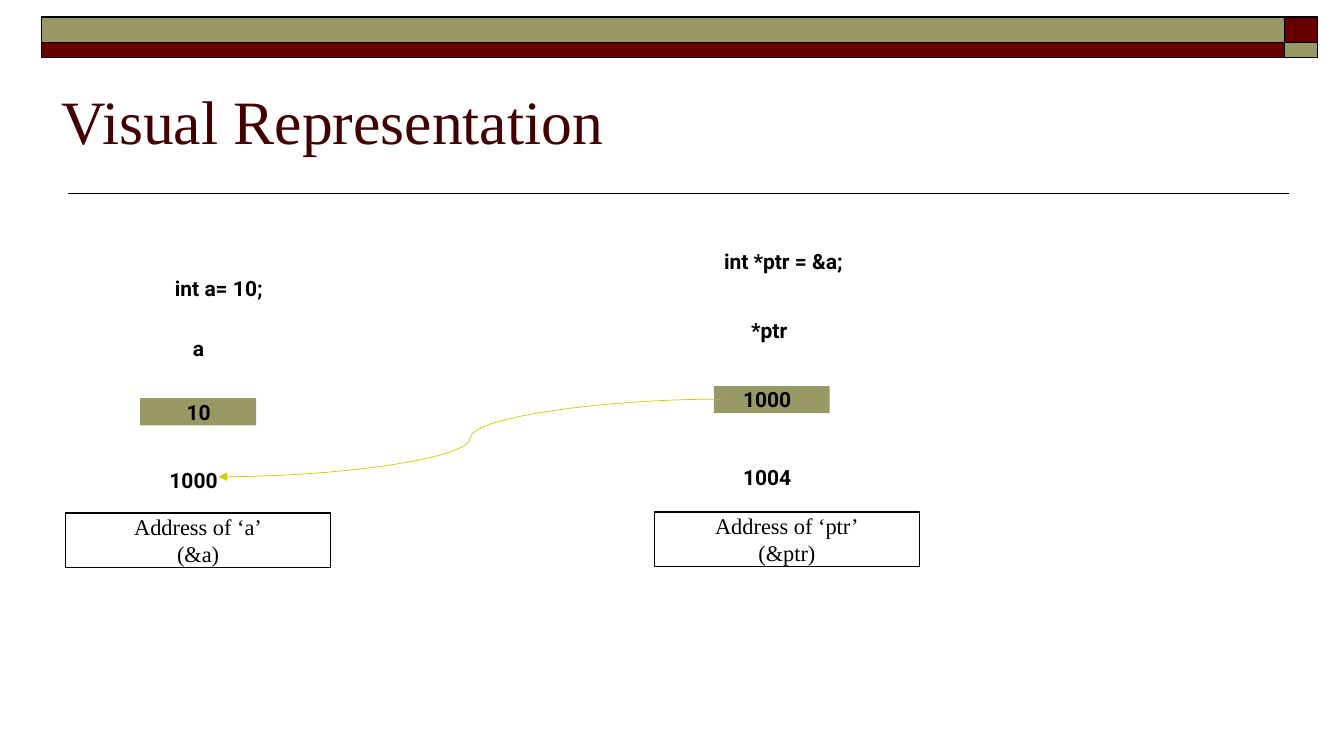
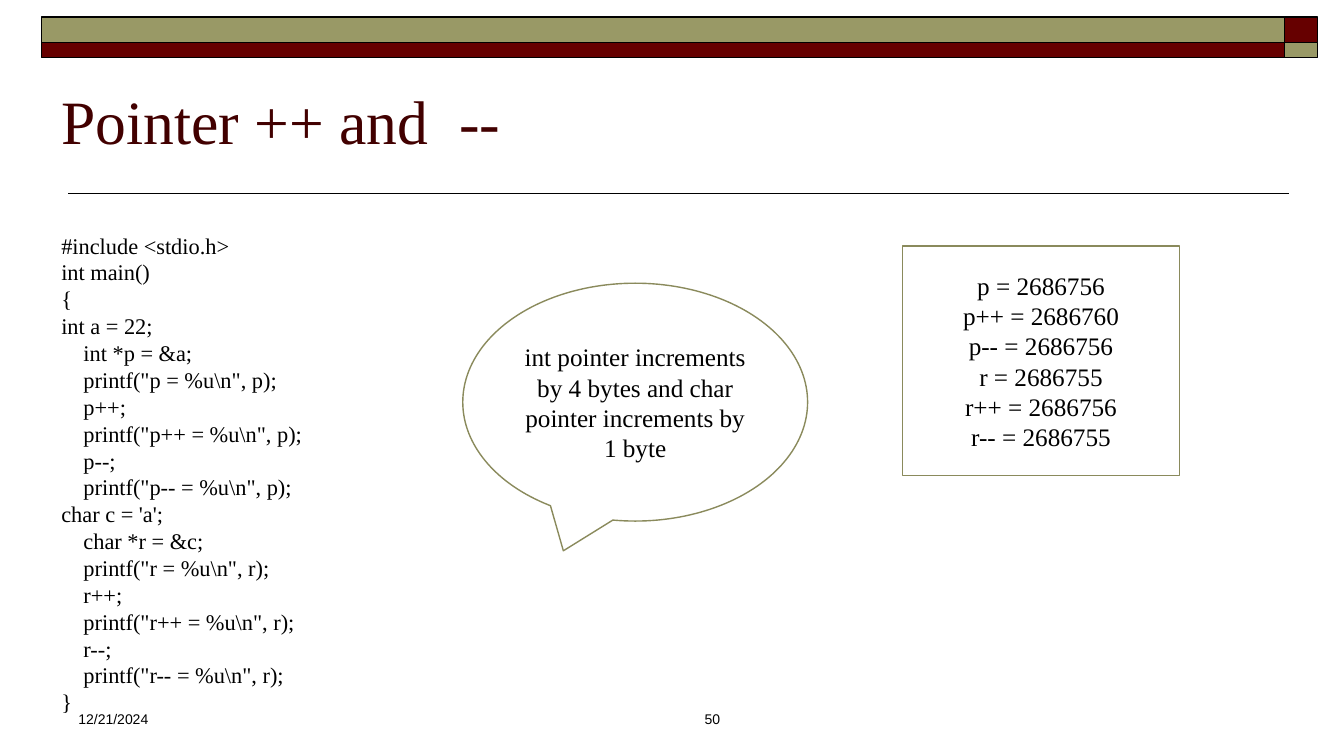
import pptx
import pptx.util
import pptx.dml.color
import pptx.enum.shapes
import pptx.enum.text
import pptx.oxml
from dataclasses import dataclass

Inches = pptx.util.Inches
Pt = pptx.util.Pt
ALIGN = pptx.enum.text.PP_ALIGN
ANCHOR = pptx.enum.text.MSO_ANCHOR
SHAPE = pptx.enum.shapes.MSO_SHAPE
CONNECTOR = pptx.enum.shapes.MSO_CONNECTOR


@dataclass(frozen=True)
class Style:
    font: str
    size: float
    color: str = "000000"
    bold: bool = False


class Theme:
    black, white = "000000", "FFFFFF"
    maroon, olive = "660000", "999966"
    outline, arrow = "8A8A5C", "CCCC00"
    title = Style("Times New Roman", 44, "420000")
    code = Style("Times New Roman", 16)
    note = Style("Times New Roman", 18)
    label = Style("Roboto", 15, bold=True)
    footer = Style("Arial", 10)


# Content: each label is (text, centre x, top)
VARIABLES = [
    {
        "labels": [("int a= 10;", 2.17, 2.7), ("a", 1.97, 3.3),
                   ("10", 1.97, 3.93), ("1000", 1.92, 4.61)],
        "cell": (1.39, 3.95),
        "address": (["Address of ‘a’", "(&a)"], 0.65, 5.09),
    },
    {
        "labels": [("int *ptr = &a;", 7.77, 2.44), ("*ptr", 7.63, 3.12),
                   ("1000", 7.61, 3.8), ("1004", 7.61, 4.58)],
        "cell": (7.08, 3.83),
        "address": (["Address of ‘ptr’", "(&ptr)"], 6.49, 5.08),
    },
]
POINTER_ARROW = (7.16, 3.96, 2.17, 4.73)

# Each code line is (indent level, text)
CODE = [
    (0, "#include <stdio.h>"),
    (0, "int main()"),
    (0, "{"),
    (0, "int a = 22;"),
    (1, "int *p = &a;"),
    (1, r'printf("p = %u\n", p);'),
    (1, "p++;"),
    (1, r'printf("p++ = %u\n", p);'),
    (1, "p--;"),
    (1, r'printf("p-- = %u\n", p);'),
    (0, "char c = 'a';"),
    (1, "char *r = &c;"),
    (1, r'printf("r = %u\n", r);'),
    (1, "r++;"),
    (1, r'printf("r++ = %u\n", r);'),
    (1, "r--;"),
    (1, r'printf("r-- = %u\n", r);'),
    (0, "}"),
]
OUTPUT = ["p = 2686756", "p++ = 2686760", "p-- = 2686756",
          "r = 2686755", "r++ = 2686756", "r-- = 2686755"]
REMARK = ["int pointer increments by 4 bytes and char pointer increments by 1 byte"]


# Helpers
def rgb(color):
    return pptx.dml.color.RGBColor.from_string(color)


def write(shape, lines, style, align=ALIGN.LEFT, anchor=ANCHOR.TOP,
          margins=(0.1, 0.05), indents=None):
    frame = shape.text_frame
    frame.word_wrap = True
    frame.vertical_anchor = anchor
    frame.margin_left = frame.margin_right = Inches(margins[0])
    frame.margin_top = frame.margin_bottom = Inches(margins[1])
    for index, line in enumerate(lines):
        paragraph = frame.add_paragraph() if index else frame.paragraphs[0]
        paragraph.text = line
        paragraph.alignment = align
        paragraph.font.name = style.font
        paragraph.font.size = Pt(style.size)
        paragraph.font.bold = style.bold
        paragraph.font.color.rgb = rgb(style.color)
        if indents and indents[index]:
            properties = paragraph._p.get_or_add_pPr()
            properties.set("marL", str(Inches(0.22 * indents[index])))


def add_text(slide, box, lines, style, **options):
    shape = slide.shapes.add_textbox(*map(Inches, box))
    write(shape, lines, style, **options)


def add_box(slide, box, fill, line=None, kind=SHAPE.RECTANGLE):
    shape = slide.shapes.add_shape(kind, *map(Inches, box))
    shape.shadow.inherit = False
    shape.fill.solid()
    shape.fill.fore_color.rgb = rgb(fill)
    if line:
        shape.line.color.rgb = rgb(line)
        shape.line.width = Pt(1)
    else:
        shape.line.fill.background()
    return shape


def add_line(slide, ends, color, width, kind=CONNECTOR.STRAIGHT):
    line = slide.shapes.add_connector(kind, *map(Inches, ends))
    line.line.color.rgb = rgb(color)
    line.line.width = Pt(width)
    pptx.oxml.xmlchemy.OxmlElement  # element factory used below
    line._element.spPr.append(pptx.oxml.xmlchemy.OxmlElement("a:effectLst"))
    return line


def add_arrow(slide, ends):
    arrow = add_line(slide, ends, Theme.arrow, 0.5, CONNECTOR.CURVE)
    head = pptx.oxml.xmlchemy.OxmlElement("a:tailEnd")
    head.set("type", "triangle")
    arrow.line._get_or_add_ln().append(head)


# Shared frame: rule, two-row band with a swapped end block, title
def add_slide(presentation, title):
    slide = presentation.slides.add_slide(presentation.slide_layouts[6])
    add_line(slide, (12.78, 1.92, 0.67, 1.92), Theme.black, 1)
    bands = [(0.17, 0.25, Theme.olive, Theme.maroon),
             (0.42, 0.15, Theme.maroon, Theme.olive)]
    for top, height, band, end in bands:
        add_box(slide, (12.74, top, 0.33, height), end, Theme.black)
        add_box(slide, (0.41, top, 12.33, height), band, Theme.black)
    add_text(slide, (0.51, 0.35, 12, 1.25), [title], Theme.title,
             anchor=ANCHOR.BOTTOM)
    return slide


def build_representation(presentation):
    slide = add_slide(presentation, "Visual Representation")
    width = 2.2
    for variable in VARIABLES:
        add_box(slide, (*variable["cell"], 1.15, 0.27), Theme.olive)
        for text, center, top in variable["labels"]:
            add_text(slide, (center - width / 2, top, width, 0.31), [text],
                     Theme.label, align=ALIGN.CENTER, anchor=ANCHOR.MIDDLE,
                     margins=(0.03, 0.03))
        lines, left, top = variable["address"]
        address = add_box(slide, (left, top, 2.63, 0.54), Theme.white, Theme.black)
        write(address, lines, Theme.code, ALIGN.CENTER, ANCHOR.MIDDLE, (0, 0))
    add_arrow(slide, POINTER_ARROW)


def build_increment(presentation):
    slide = add_slide(presentation, "Pointer ++ and  --")
    indents, lines = zip(*CODE)
    add_text(slide, (0.51, 2.25, 12, 4.57), lines, Theme.code, indents=indents)

    # Footer
    add_text(slide, (0.68, 7, 2.44, 0.5), ["12/21/2024"], Theme.footer)
    add_text(slide, (4.46, 7, 2.78, 0.5), ["50"], Theme.footer, align=ALIGN.RIGHT)

    # Program output and remark
    panels = [(OUTPUT, (8.95, 2.44, 2.75, 2.28), SHAPE.RECTANGLE),
              (REMARK, (4.59, 2.81, 3.42, 2.36), SHAPE.OVAL_CALLOUT)]
    for text, box, kind in panels:
        panel = add_box(slide, box, Theme.white, Theme.outline, kind)
        write(panel, text, Theme.note, ALIGN.CENTER, ANCHOR.MIDDLE)


def main():
    presentation = pptx.Presentation()
    presentation.slide_width = Inches(13.33)
    presentation.slide_height = Inches(7.5)
    build_representation(presentation)
    build_increment(presentation)
    presentation.save("out.pptx")


if __name__ == "__main__":
    main()
